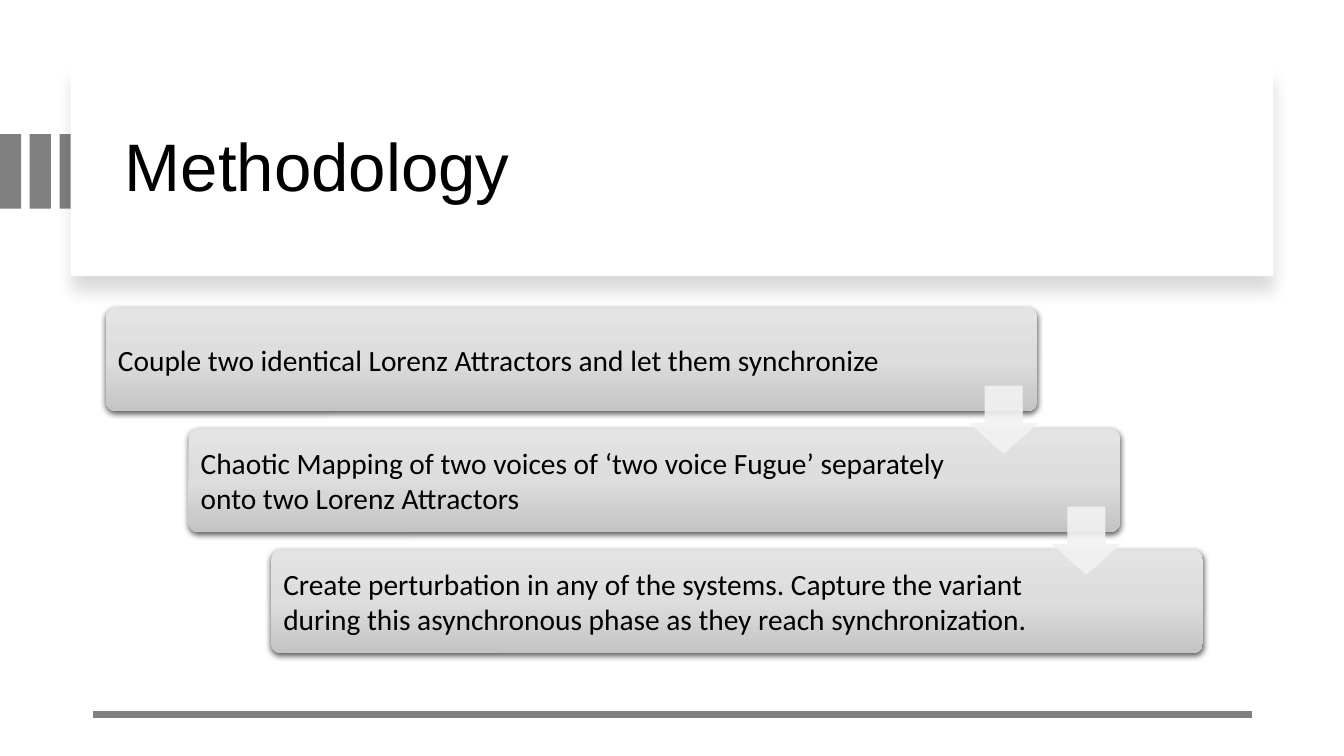
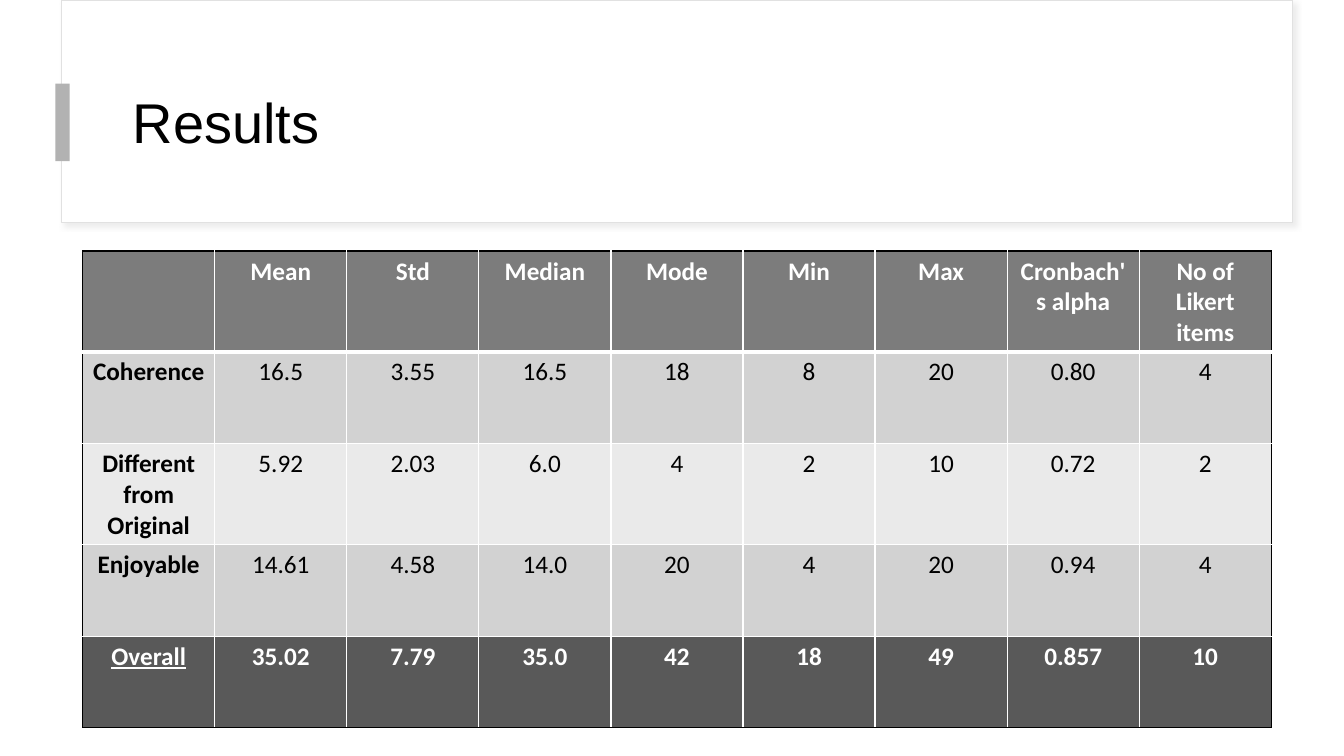
from copy import deepcopy
from dataclasses import dataclass
from typing import Optional

from lxml import etree
from pptx import Presentation
from pptx.dml.color import RGBColor
from pptx.enum.shapes import MSO_CONNECTOR, MSO_SHAPE
from pptx.enum.text import MSO_ANCHOR, PP_ALIGN
from pptx.oxml.ns import qn
from pptx.shapes.autoshape import Shape
from pptx.slide import Slide
from pptx.table import _Cell
from pptx.text.text import _Paragraph
from pptx.util import Inches, Pt

RECTANGLE = MSO_SHAPE.RECTANGLE
ROUNDED = MSO_SHAPE.ROUNDED_RECTANGLE
DOWN_ARROW = MSO_SHAPE.DOWN_ARROW
STRAIGHT = MSO_CONNECTOR.STRAIGHT
MIDDLE = MSO_ANCHOR.MIDDLE
LEFT = PP_ALIGN.LEFT
CENTER = PP_ALIGN.CENTER

COLORS = {
    "white": "FFFFFF",
    "black": "000000",
    "bar": "808080",
    "accent": "B2B2B2",
    "panel_line": "E1E1E1",
    "panel_shadow": "D9D9D9",
    "step_top": "E3E3E3",
    "step_middle": "DDDDDD",
    "step_bottom": "C4C4C4",
    "arrow": "F2F2F2",
    "header": "7C7C7C",
    "row_dark": "D2D2D2",
    "row_light": "EAEAEA",
    "total": "595959",
}
TITLE_FONT = "Arial"
BODY_FONT = "Calibri"


@dataclass(frozen=True)
class Box:
    left: float
    top: float
    width: float
    height: float


@dataclass(frozen=True)
class Shadow:
    color: str
    opacity: int
    blur: float
    distance: float
    angle: int


@dataclass(frozen=True)
class Step:
    text: str
    right_inset: float


@dataclass(frozen=True)
class TableRow:
    cells: tuple[str, ...]
    fill: str
    color: str
    bold: bool
    underline_label: bool = False


STEP_SHADOW = Shadow("black", 63, 4.5, 1.5, 90)
STEPS = (
    Step("Couple two identical Lorenz Attractors and let them synchronize", 1.14),
    Step("Chaotic Mapping of two voices of ‘two voice Fugue’ separately onto two Lorenz Attractors", 1.57),
    Step("Create perturbation in any of the systems. Capture the variant during this "
         "asynchronous phase as they reach synchronization.", 1.57),
)
RESULTS = (
    TableRow(("", "Mean", "Std", "Median", "Mode", "Min", "Max", "Cronbach's alpha", "No of Likert items"),
             "header", "white", True),
    TableRow(("Coherence", "16.5", "3.55", "16.5", "18", "8", "20", "0.80", "4"), "row_dark", "black", False),
    TableRow(("Different from Original", "5.92", "2.03", "6.0", "4", "2", "10", "0.72", "2"),
             "row_light", "black", False),
    TableRow(("Enjoyable", "14.61", "4.58", "14.0", "20", "4", "20", "0.94", "4"), "row_dark", "black", False),
    TableRow(("Overall", "35.02", "7.79", "35.0", "42", "18", "49", "0.857", "10"),
             "total", "white", True, True),
)


def rgb(name: str) -> RGBColor:
    return RGBColor.from_string(COLORS[name])


def add_color(parent: etree._Element, name: str, opacity: int = 100) -> None:
    color = etree.SubElement(parent, qn("a:srgbClr"), val=COLORS[name])
    if opacity < 100:
        etree.SubElement(color, qn("a:alpha"), val=str(opacity * 1000))


def add_shadow(shape: Shape, shadow: Shadow) -> None:
    effects = shape._element.spPr.find(qn("a:effectLst"))
    outer = etree.SubElement(
        effects, qn("a:outerShdw"), blurRad=str(Pt(shadow.blur)), dist=str(Pt(shadow.distance)),
        dir=str(shadow.angle * 60000), algn="t", rotWithShape="0")
    add_color(outer, shadow.color, shadow.opacity)


def add_box(slide: Slide, box: Box, fill: str, line: Optional[str] = None, line_width: float = 0.75,
            kind: MSO_SHAPE = RECTANGLE, shadow: Optional[Shadow] = None) -> Shape:
    shape = slide.shapes.add_shape(
        kind, Inches(box.left), Inches(box.top), Inches(box.width), Inches(box.height))
    shape.shadow.inherit = False
    shape.fill.solid()
    shape.fill.fore_color.rgb = rgb(fill)
    if line:
        shape.line.color.rgb = rgb(line)
        shape.line.width = Pt(line_width)
    else:
        shape.line.fill.background()
    if shadow:
        add_shadow(shape, shadow)
    return shape


def style_text(paragraph: _Paragraph, font: str, size: float, color: str = "black",
               bold: bool = False, align: PP_ALIGN = LEFT) -> None:
    paragraph.alignment = align
    paragraph.font.name = font
    paragraph.font.size = Pt(size)
    paragraph.font.bold = bold
    paragraph.font.color.rgb = rgb(color)


def add_title(slide: Slide, text: str, box: Box, size: float) -> None:
    title = slide.shapes.add_textbox(
        Inches(box.left), Inches(box.top), Inches(box.width), Inches(box.height))
    frame = title.text_frame
    frame.word_wrap = True
    frame.vertical_anchor = MIDDLE
    paragraph = frame.paragraphs[0]
    paragraph.text = text
    paragraph.line_spacing = 0.9
    style_text(paragraph, TITLE_FONT, size)


def add_step(slide: Slide, step: Step, box: Box) -> None:
    shape = add_box(slide, box, "step_top", kind=ROUNDED, shadow=STEP_SHADOW)
    shape.adjustments[0] = 0.1
    shape.fill.gradient()
    shape.fill.gradient_angle = 270
    stop_list = shape._element.spPr.find(".//" + qn("a:gsLst"))
    stop_list.append(deepcopy(stop_list[0]))
    stops = ((0, "step_top"), (0.5, "step_middle"), (1, "step_bottom"))
    for stop, (position, color) in zip(shape.fill.gradient_stops, stops):
        stop.position = position
        stop.color.rgb = rgb(color)
    frame = shape.text_frame
    frame.word_wrap = True
    frame.vertical_anchor = MIDDLE
    frame.margin_left = frame.margin_top = frame.margin_bottom = Inches(0.09)
    frame.margin_right = Inches(step.right_inset)
    paragraph = frame.paragraphs[0]
    paragraph.text = step.text
    style_text(paragraph, BODY_FONT, 21)


def add_arrow(slide: Slide, left: float, top: float) -> None:
    arrow = add_box(slide, Box(left, top, 0.67, 0.67), "arrow", "arrow", 0.5, DOWN_ARROW)
    arrow.adjustments[0] = 0.55
    arrow.adjustments[1] = 0.45
    for color in arrow._element.spPr.iter(qn("a:srgbClr")):
        etree.SubElement(color, qn("a:alpha"), val="90000")


def add_rule(slide: Slide, left: float, right: float, y: float) -> None:
    rule = slide.shapes.add_connector(STRAIGHT, Inches(right), Inches(y), Inches(left), Inches(y))
    rule.line.color.rgb = rgb("bar")
    rule.line.width = Pt(4.5)
    etree.SubElement(rule._element.spPr, qn("a:effectLst"))


def set_borders(cell: _Cell, borders: dict[str, tuple[str, float]]) -> None:
    properties = cell._tc.get_or_add_tcPr()
    for index, (side, (color, width)) in enumerate(borders.items()):
        line = etree.Element(qn(f"a:ln{side}"), w=str(Pt(width)))
        add_color(etree.SubElement(line, qn("a:solidFill")), color)
        properties.insert(index, line)


def add_results_table(slide: Slide) -> None:
    last_row, last_column = len(RESULTS) - 1, len(RESULTS[0].cells) - 1
    table = slide.shapes.add_table(
        last_row + 1, last_column + 1, Inches(0.82), Inches(2.49), Inches(11.79), Inches(4.55)).table
    table.horz_banding = False
    for row_index, row in enumerate(RESULTS):
        table.rows[row_index].height = Inches(0.91)
        for column_index, text in enumerate(row.cells):
            cell = table.cell(row_index, column_index)
            cell.fill.solid()
            cell.fill.fore_color.rgb = rgb(row.fill)
            set_borders(cell, {
                "L": ("black" if column_index == 0 else "white", 1),
                "R": ("black" if column_index == last_column else "white", 1),
                "T": ("black" if row_index == 0 else "white", 1),
                "B": ("black" if row_index == last_row else "white", 3 if row_index == 0 else 1),
            })
            paragraph = cell.text_frame.paragraphs[0]
            paragraph.text = text
            is_label = column_index == 0
            style_text(paragraph, BODY_FONT, 18, row.color, row.bold or is_label, CENTER)
            if is_label and row.underline_label:
                paragraph.font.underline = True


def build_methodology(slide: Slide) -> None:
    for index in range(3):
        add_box(slide, Box(0.59 * index / 2, 1.33, 0.21, 0.74), "bar")
    add_box(slide, Box(0.7, 0.67, 11.93, 2.07), "white", shadow=Shadow("black", 15, 11, 10, 90))
    add_title(slide, "Methodology", Box(1.14, 0.83, 10.87, 1.7), 48)
    boxes = [Box(1.05 + 0.82 * index, 3.05 + 1.2 * index, 9.24, 1.03) for index in range(len(STEPS))]
    for step, box in zip(STEPS, boxes):
        add_step(slide, step, box)
    for box in boxes[:-1]:
        add_arrow(slide, box.left + 8.57, box.top + 0.78)
    add_rule(slide, 0.92, 12.42, 7.09)


def build_results(slide: Slide) -> None:
    add_box(slide, Box(0.61, 0, 12.21, 2.21), "white", "panel_line",
            shadow=Shadow("panel_shadow", 50, 4, 3, 45))
    add_title(slide, "Results", Box(1.22, 0.6, 11.12, 1.29), 40)
    add_box(slide, Box(0.55, 0.83, 0.14, 0.77), "accent")
    add_results_table(slide)


def main() -> None:
    presentation = Presentation()
    presentation.slide_width = Inches(13.33)
    presentation.slide_height = Inches(7.5)
    blank = presentation.slide_layouts[6]
    for build in (build_methodology, build_results):
        build(presentation.slides.add_slide(blank))
    presentation.save("out.pptx")


if __name__ == "__main__":
    main()
